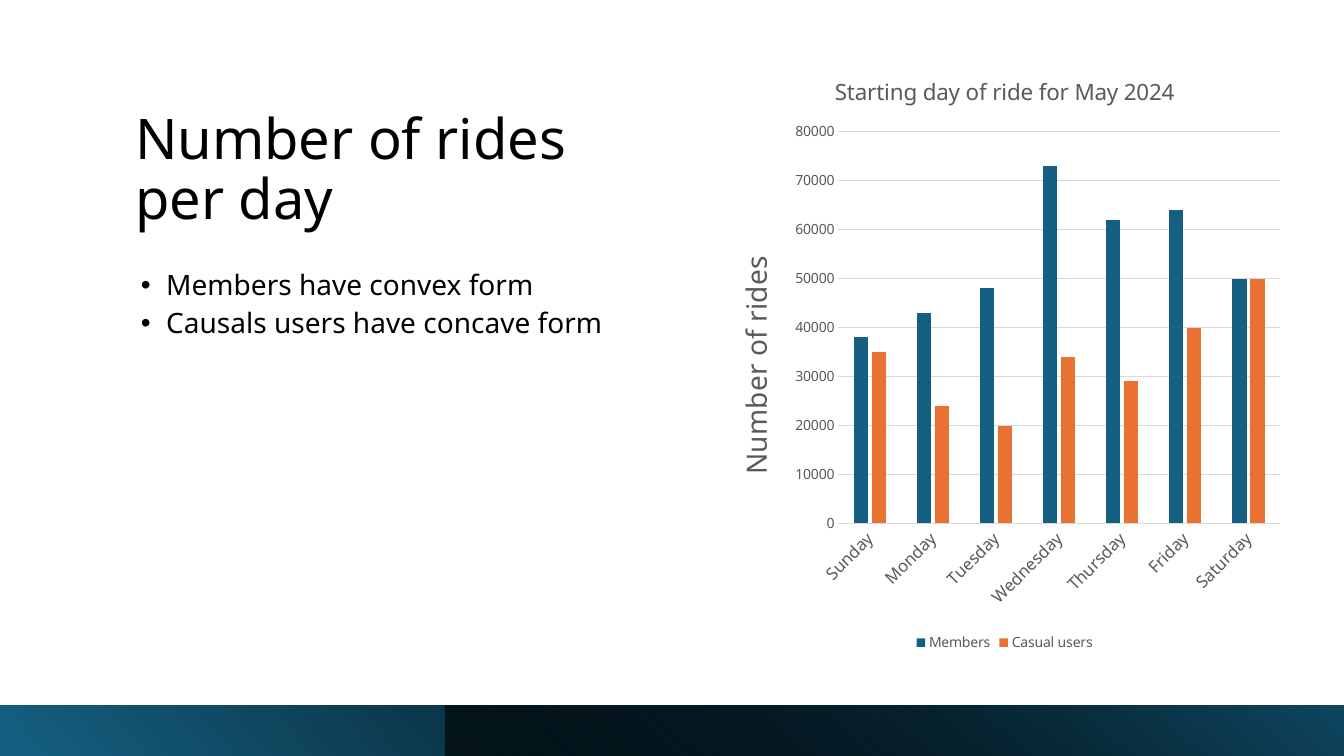
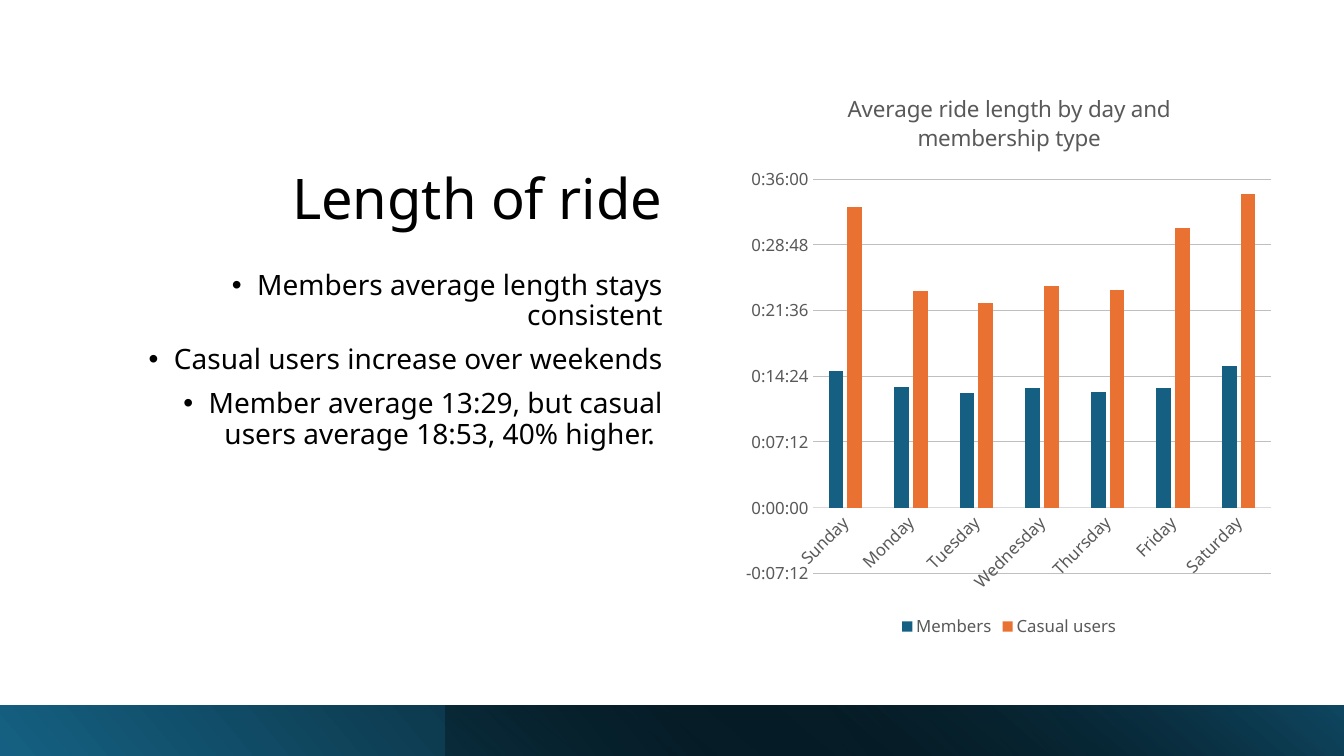
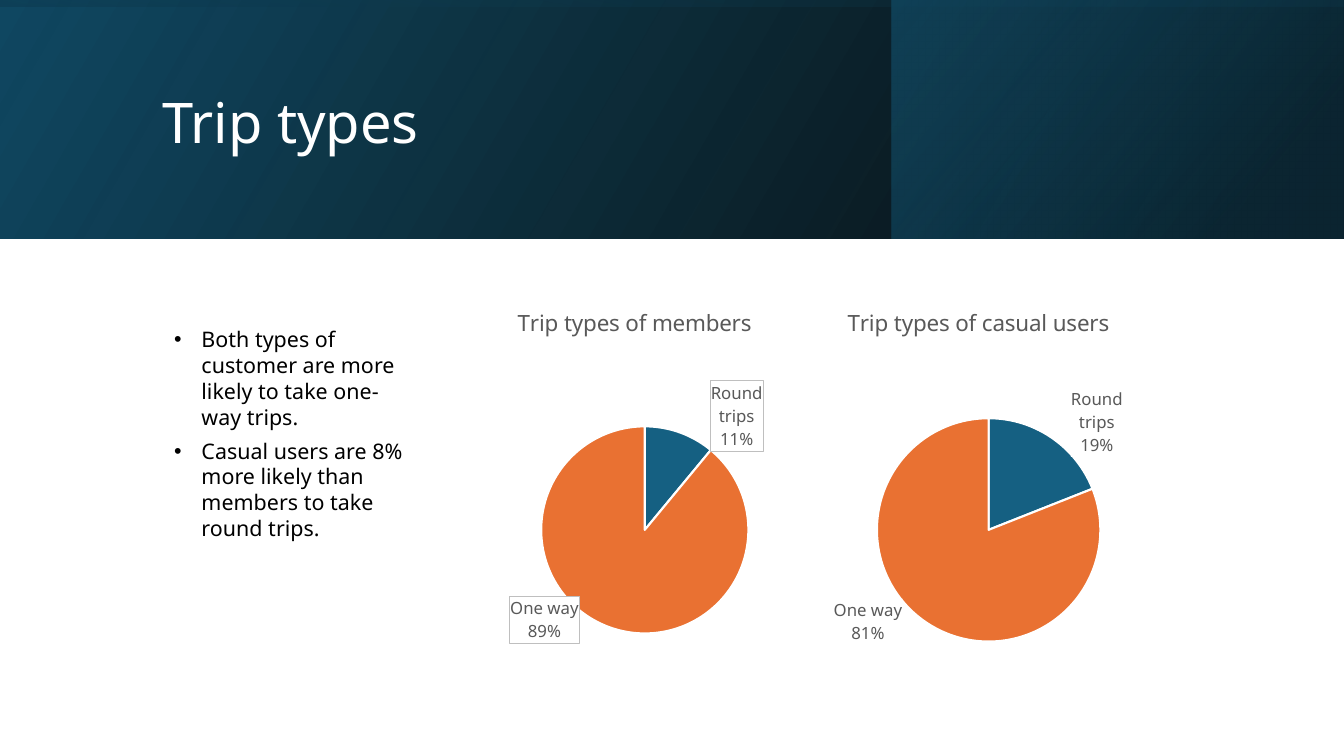
from lxml.etree import SubElement
from pptx import Presentation
from pptx.chart.data import CategoryChartData
from pptx.dml.color import RGBColor
from pptx.enum.chart import XL_CHART_TYPE, XL_LABEL_POSITION, XL_LEGEND_POSITION, XL_TICK_MARK
from pptx.enum.shapes import MSO_SHAPE
from pptx.enum.text import MSO_ANCHOR, MSO_AUTO_SIZE, PP_ALIGN
from pptx.oxml.ns import qn
from pptx.util import Emu, Pt

EMU_PER_PX = 9144
SLIDE_W, SLIDE_H = 1333, 750
FONT = "Noto Sans"

BLACK = RGBColor(0x00, 0x00, 0x00)
WHITE = RGBColor(0xFF, 0xFF, 0xFF)
GRAY = RGBColor(0x59, 0x59, 0x59)
PALE_GRAY = RGBColor(0xD9, 0xD9, 0xD9)
MID_GRAY = RGBColor(0xBF, 0xBF, 0xBF)
TEAL = RGBColor(0x15, 0x60, 0x82)
DEEP_TEAL = RGBColor(0x10, 0x48, 0x62)
DARK_TEAL = RGBColor(0x0B, 0x30, 0x41)
ORANGE = RGBColor(0xE9, 0x71, 0x32)

DAYS = ["Sunday", "Monday", "Tuesday", "Wednesday", "Thursday", "Friday", "Saturday"]
TRIP_TYPES = ["Round trips", "One way"]
USER_COLORS = {"Members": TEAL, "Casual users": ORANGE}


def px(length):
    return Emu(length * EMU_PER_PX)


def box(left, top, width, height):
    return px(left), px(top), px(width), px(height)


def style_font(font, size, color):
    font.name = FONT
    font.size = Pt(size)
    font.bold = False
    font.color.rgb = color


def write_text(frame, *lines, size=20, color=BLACK, align=None, spacing=None,
               before=None, after=None, indent=None):
    for number, line in enumerate(lines):
        paragraph = frame.add_paragraph() if number else frame.paragraphs[0]
        run = paragraph.add_run()
        run.text = line
        style_font(run.font, size, color)
        if align is not None:
            paragraph.alignment = align
        if spacing is not None:
            paragraph.line_spacing = spacing
        if before is not None:
            paragraph.space_before = Pt(before)
        if after is not None:
            paragraph.space_after = Pt(after)
        if indent:
            margin, hanging = indent
            properties = paragraph._p.get_or_add_pPr()
            properties.set("marL", str(px(margin)))
            properties.set("indent", str(-px(hanging)))
            SubElement(properties, qn("a:buFont")).set("typeface", "Arial")
            SubElement(properties, qn("a:buChar")).set("char", "•")


def add_title(slide, text, place, anchor=MSO_ANCHOR.BOTTOM, align=PP_ALIGN.LEFT, color=BLACK):
    title = slide.shapes.title
    title.left, title.top, title.width, title.height = box(*place)
    frame = title.text_frame
    frame.auto_size = MSO_AUTO_SIZE.NONE
    frame.word_wrap = True
    frame.vertical_anchor = anchor
    write_text(frame, text, size=40, color=color, align=align, spacing=0.9)


def add_bullets(slide, place, *lines, spacing=0.9, **text_format):
    frame = slide.shapes.add_textbox(*box(*place)).text_frame
    frame.word_wrap = True
    write_text(frame, *lines, spacing=spacing, **text_format)


def add_gradient_band(slide, place, stops, angle, rotation=0):
    band = slide.shapes.add_shape(MSO_SHAPE.RECTANGLE, *box(*place))
    band.shadow.inherit = False
    band.rotation = rotation
    properties = band._element.spPr
    properties.find(qn("a:xfrm")).set("flipH", "1")
    band.fill.background()
    blank = properties.find(qn("a:noFill"))
    gradient = SubElement(properties, qn("a:gradFill"), rotWithShape="1")
    properties.replace(blank, gradient)
    stop_list = SubElement(gradient, qn("a:gsLst"))
    for position, color, opacity in stops:
        stop = SubElement(stop_list, qn("a:gs"), pos=str(position * 1000))
        tint = SubElement(stop, qn("a:srgbClr"), val=str(color))
        if opacity < 100:
            SubElement(tint, qn("a:alpha"), val=str(opacity * 1000))
    SubElement(gradient, qn("a:lin"), ang=str(angle * 60000), scaled="0")
    band.line.fill.background()


def add_footer_bands(slide, black_at, shade):
    add_gradient_band(slide, (0, 700, SLIDE_W, 50),
                      [(0, TEAL, 100), (black_at, BLACK, 100)], 40, rotation=180)
    add_gradient_band(slide, (442, 700, SLIDE_W - 442, 50),
                      [(0, BLACK, shade), (100, DEEP_TEAL, 100)], 230)


def add_header_bands(slide):
    add_gradient_band(slide, (0, 0, SLIDE_W, 237),
                      [(0, BLACK, 96), (100, DEEP_TEAL, 100)], 330)
    add_gradient_band(slide, (884, 0, 448, 237),
                      [(19, DARK_TEAL, 68), (100, TEAL, 48)], 320)
    add_gradient_band(slide, (548, -548, 237, SLIDE_W),
                      [(23, DEEP_TEAL, 16), (99, BLACK, 45)], 350, rotation=270)


def add_manual_layout(layout, **settings):
    manual = SubElement(layout, qn("c:manualLayout"))
    for key, value in settings.items():
        SubElement(manual, qn(f"c:{key}")).set("val", str(value))


def set_plot_layout(chart, x, y, w, h):
    plot_area = chart.element.find(qn("c:chart")).find(qn("c:plotArea"))
    for automatic in plot_area.findall(qn("c:layout")):
        plot_area.remove(automatic)
    layout = SubElement(plot_area, qn("c:layout"))
    plot_area.insert(0, layout)
    add_manual_layout(layout, layoutTarget="inner", xMode="edge", yMode="edge",
                      x=x, y=y, w=w, h=h)


def add_titled_chart(slide, kind, place, title, categories, series, plot_place):
    data = CategoryChartData()
    data.categories = categories
    for name, values in series.items():
        data.add_series(name, values)
    chart = slide.shapes.add_chart(kind, *box(*place), data).chart
    style_font(chart.font, 10, GRAY)
    chart.has_title = True
    write_text(chart.chart_title.text_frame, title, size=16, color=GRAY)
    chart.chart_title.include_in_layout = False
    set_plot_layout(chart, *plot_place)
    return chart


def add_day_columns(slide, place, title, series, plot_place, scale, value_size, legend_size,
                    grid=PALE_GRAY, number_format="General", axis_title=None):
    chart = add_titled_chart(slide, XL_CHART_TYPE.COLUMN_CLUSTERED, place, title, DAYS,
                             series, plot_place)
    plot = chart.plots[0]
    plot.vary_by_categories = False
    plot.gap_width = 219
    plot.overlap = -27
    for columns in plot.series:
        columns.format.fill.solid()
        columns.format.fill.fore_color.rgb = USER_COLORS[columns.name]

    days = chart.category_axis
    style_font(days.tick_labels.font, 12, GRAY)
    days.format.line.color.rgb = PALE_GRAY
    days.format.line.width = Pt(0.75)
    label_body = days._element.find(qn("c:txPr")).find(qn("a:bodyPr"))
    label_body.set("rot", "-2700000")
    label_body.set("vert", "horz")

    values = chart.value_axis
    values.minimum_scale, values.maximum_scale, values.major_unit = scale
    style_font(values.tick_labels.font, value_size, GRAY)
    values.tick_labels.number_format = number_format
    values.tick_labels.number_format_is_linked = False
    values.format.line.fill.background()
    values.major_gridlines.format.line.color.rgb = grid
    values.major_gridlines.format.line.width = Pt(0.75)
    for axis in (days, values):
        axis.major_tick_mark = axis.minor_tick_mark = XL_TICK_MARK.NONE
    if axis_title:
        frame = values.axis_title.text_frame
        write_text(frame, axis_title, size=20, color=GRAY)
        title_body = frame._txBody.find(qn("a:bodyPr"))
        title_body.set("rot", "-5400000")
        title_body.set("vert", "horz")

    chart.has_legend = True
    chart.legend.position = XL_LEGEND_POSITION.BOTTOM
    chart.legend.include_in_layout = False
    style_font(chart.legend.font, legend_size, GRAY)


def show_name_and_percent(element):
    for key, shown in {"showVal": 0, "showCatName": 1, "showPercent": 1}.items():
        element.find(qn(f"c:{key}")).set("val", str(shown))
    separator = SubElement(element, qn("c:separator"))
    separator.text = "\n"
    element.find(qn("c:showBubbleSize")).addnext(separator)


def place_label(label, shift, border):
    style_font(label.font, 12, GRAY)
    label.position = XL_LABEL_POSITION.OUTSIDE_END
    element = label._dLbl
    show_name_and_percent(element)
    layout = SubElement(element, qn("c:layout"))
    element.find(qn("c:idx")).addnext(layout)
    add_manual_layout(layout, x=shift[0], y=shift[1])
    frame = SubElement(element, qn("c:spPr"))
    element.find(qn("c:txPr")).addprevious(frame)
    fill = SubElement(frame, qn("a:solidFill"))
    SubElement(fill, qn("a:srgbClr"), val=str(WHITE))
    outline = SubElement(frame, qn("a:ln"), w=str(Pt(0.75)))
    if border is None:
        SubElement(outline, qn("a:noFill"))
    else:
        outline_fill = SubElement(outline, qn("a:solidFill"))
        SubElement(outline_fill, qn("a:srgbClr"), val=str(border))


def add_trip_pie(slide, left, title, shares, plot_place, label_shifts, label_border=None):
    chart = add_titled_chart(slide, XL_CHART_TYPE.PIE, (left, 286, 403, 403), title,
                             TRIP_TYPES, {"Series 1": shares}, plot_place)
    chart.has_legend = False
    plot = chart.plots[0]
    plot.vary_by_categories = True
    trips = plot.series[0]
    labels = trips.data_labels
    style_font(labels.font, 12, GRAY)
    labels.position = XL_LABEL_POSITION.OUTSIDE_END
    show_name_and_percent(labels._element)
    for leader in labels._element.findall(qn("c:showLeaderLines")):
        leader.set("val", "0")
    for number, (color, shift) in enumerate(zip((TEAL, ORANGE), label_shifts)):
        point = trips.points[number]
        wedge = point.format
        wedge.fill.solid()
        wedge.fill.fore_color.rgb = color
        wedge.line.color.rgb = WHITE
        wedge.line.width = Pt(1.5)
        place_label(point.data_label, shift, label_border)


def build_rides_per_day(slide):
    add_title(slide, "Number of rides per day", (124, 55, 542, 180))
    add_bullets(slide, (124, 264, 542, 385),
                "Members have convex form",
                "Causals users have concave form",
                after=6, indent=(31, 25))
    add_footer_bands(slide, black_at=78, shade=63)
    rides = {
        "Members": [38000, 43000, 48000, 73000, 62000, 64000, 50000],
        "Casual users": [35000, 24000, 20000, 34000, 29000, 40000, 50000],
    }
    add_day_columns(slide, (712, 53, 569, 598), "Starting day of ride for May 2024", rides,
                    plot_place=(0.21, 0.13, 0.77, 0.65), scale=(0, 80000, 10000),
                    value_size=10, legend_size=10, axis_title="Number of rides")


def build_ride_length(slide):
    add_title(slide, "Length of ride", (100, 54, 567, 181), align=PP_ALIGN.RIGHT)
    add_bullets(slide, (100, 264, 567, 373),
                "Members average length stays consistent",
                "Casual users increase over weekends",
                "Member average 13:29, but casual users average 18:53, 40% higher. ",
                align=PP_ALIGN.RIGHT, before=10, indent=(25, 25))
    add_footer_bands(slide, black_at=85, shade=26)
    lengths = {
        "Members": [0.0104, 0.0092, 0.0087, 0.0091, 0.0088, 0.0091, 0.0108],
        "Casual users": [0.0229, 0.0165, 0.0156, 0.0169, 0.0166, 0.0213, 0.0239],
    }
    add_day_columns(slide, (730, 70, 542, 567),
                    "Average ride length by day and membership type", lengths,
                    plot_place=(0.14, 0.19, 0.84, 0.69), scale=(-0.005, 0.025, 0.005),
                    value_size=12, legend_size=12, grid=MID_GRAY, number_format="[h]:mm:ss")


def build_trip_types(slide):
    add_header_bands(slide)
    add_title(slide, "Trip types", (151, 38, 1063, 172), anchor=MSO_ANCHOR.MIDDLE, color=WHITE)
    title = slide.shapes.title._element
    title.getparent().append(title)
    add_trip_pie(slide, 428, "Trip types of members", [11, 89],
                 plot_place=(0.27, 0.34, 0.51, 0.51),
                 label_shifts=[(0.07, 0.06), (-0.07, -0.09)], label_border=MID_GRAY)
    add_trip_pie(slide, 769, "Trip types of casual users", [19, 81],
                 plot_place=(0.25, 0.32, 0.55, 0.55),
                 label_shifts=[(0.04, 0.06), (-0.05, -0.07)])
    add_bullets(slide, (163, 319, 250, 225),
                "Both types of customer are more likely to take one-way trips.",
                "Casual users are 8% more likely than members to take round trips.",
                size=15.3, spacing=1.0, after=6, indent=(27, 27))


def main():
    deck = Presentation()
    deck.slide_width, deck.slide_height = px(SLIDE_W), px(SLIDE_H)
    title_only = deck.slide_layouts[5]
    for build in (build_rides_per_day, build_ride_length, build_trip_types):
        build(deck.slides.add_slide(title_only))
    deck.save("out.pptx")


if __name__ == "__main__":
    main()
